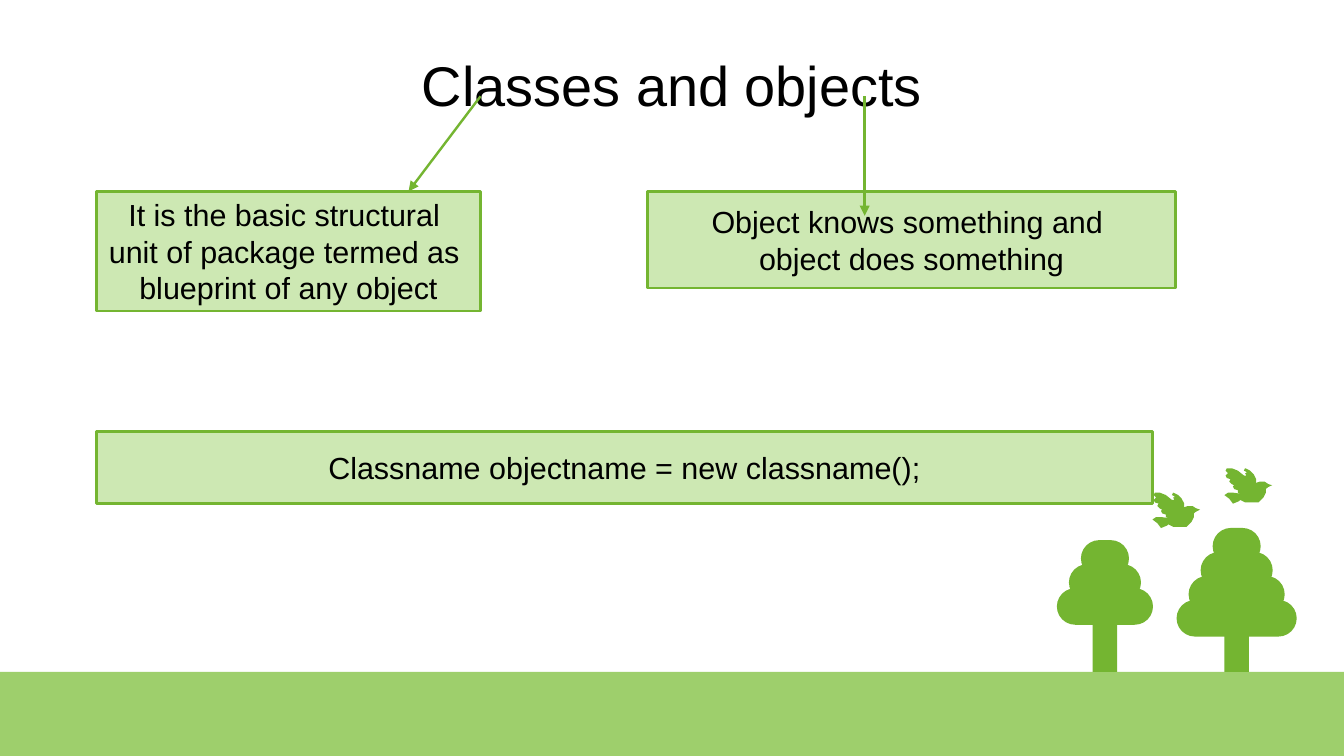
from dataclasses import dataclass

from lxml.etree import SubElement
from pptx import Presentation
from pptx.dml.color import RGBColor
from pptx.enum.shapes import MSO_CONNECTOR as Connector
from pptx.enum.shapes import MSO_SHAPE as Shape
from pptx.enum.text import MSO_ANCHOR as Anchor
from pptx.enum.text import MSO_AUTO_SIZE as AutoSize
from pptx.enum.text import PP_ALIGN as Align
from pptx.oxml.ns import qn
from pptx.util import Inches, Pt


@dataclass(frozen=True)
class Theme:
    font: str = "Arial"
    title_size: Pt = Pt(33)
    body_size: Pt = Pt(18)
    line_width: Pt = Pt(1.42)
    text: RGBColor = RGBColor(0x00, 0x00, 0x00)
    leaf: RGBColor = RGBColor(0x74, 0xB5, 0x31)
    ground: RGBColor = RGBColor(0x9E, 0xCF, 0x6C)
    box: RGBColor = RGBColor(0xCD, 0xE8, 0xB3)


THEME = Theme()
SLIDE_WIDTH, SLIDE_HEIGHT = 11.02, 6.2
GROUND_TOP = 5.51
TRUNK_TOP, TRUNK_WIDTH = 4.53, 0.2
TIER_HEIGHT, TIER_STEP = 0.3, 0.197

# Bird outlines in hundredths of an inch from the bird's top left corner.
FAR_WING = [(24, 5), (21, 1.5), (17, 0), (16.5, 1.5), (18, 3), (18, 4),
            (17, 4), (18, 6), (16, 6), (16.5, 9), (18, 11), (20, 15),
            (22.5, 16.5), (25, 17), (25.5, 13), (25.5, 9)]
BODY = [(29, 11), (26.5, 12.5), (24, 15), (19, 10), (15.5, 5.5), (11, 2),
        (6, 0), (2, 0), (1, 2), (3, 4), (1, 6), (2.5, 8), (5, 9), (4, 11),
        (5.5, 13), (8, 14), (7, 15), (8.5, 17), (11, 18), (11, 20),
        (14, 21), (7, 20), (3, 20.5), (0, 22), (4, 25), (7, 29), (12, 27),
        (13, 26), (17, 28), (23, 28.5), (28, 27.5), (32, 24), (33.7, 20),
        (34, 17), (36, 15), (36, 13), (33, 11.3)]
BEAK = [(36, 13), (35, 13), (35, 16), (37, 15), (39, 14.3), (39, 13.8)]


def style_text(text_frame, size):
    text_frame.vertical_anchor = Anchor.MIDDLE
    for paragraph in text_frame.paragraphs:
        paragraph.alignment = Align.CENTER
        for run in paragraph.runs:
            run.font.name = THEME.font
            run.font.size = size
            run.font.color.rgb = THEME.text


def add_title(slide, text):
    title = slide.shapes.title
    title.left, title.top = Inches(0.59), Inches(0.2)
    title.width, title.height = Inches(9.84), Inches(0.98)
    text_frame = title.text_frame
    text_frame.text = text
    text_frame.auto_size = AutoSize.NONE
    text_frame.margin_left = text_frame.margin_right = 0
    text_frame.margin_top = text_frame.margin_bottom = 0
    style_text(text_frame, THEME.title_size)


def paint(shape, color):
    shape.shadow.inherit = False
    shape.fill.solid()
    shape.fill.fore_color.rgb = color
    shape.line.fill.background()


def add_block(slide, kind, left, top, width, height, color):
    shape = slide.shapes.add_shape(
        kind, Inches(left), Inches(top), Inches(width), Inches(height))
    paint(shape, color)
    return shape


def add_text_box(slide, left, top, width, height, text):
    shape = add_block(slide, Shape.RECTANGLE, left, top, width, height, THEME.box)
    shape.line.color.rgb = THEME.leaf
    shape.line.width = THEME.line_width
    shape.text_frame.text = text
    shape.text_frame.word_wrap = False
    style_text(shape.text_frame, THEME.body_size)


def add_arrow(slide, start, end):
    connector = slide.shapes.add_connector(
        Connector.STRAIGHT, *map(Inches, start + end))
    connector.line.color.rgb = THEME.leaf
    connector.line.width = THEME.line_width
    properties = connector.element.spPr
    SubElement(properties.find(qn("a:ln")), qn("a:tailEnd"), type="triangle")
    SubElement(properties, qn("a:effectLst"))


def add_tree(slide, center, top, tiers):
    """Draw a trunk under rounded tiers that widen downwards."""
    add_block(slide, Shape.RECTANGLE, center - TRUNK_WIDTH / 2, TRUNK_TOP,
              TRUNK_WIDTH, GROUND_TOP - TRUNK_TOP, THEME.leaf)
    for tier in reversed(range(tiers)):
        width = (tier + 2) * TIER_STEP
        shape = add_block(slide, Shape.ROUNDED_RECTANGLE, center - width / 2,
                          top + tier * TIER_STEP, width, TIER_HEIGHT, THEME.leaf)
        shape.adjustments[0] = 0.5


def add_bird(slide, left, top):
    parts = []
    for outline in (FAR_WING, BODY, BEAK):
        builder = slide.shapes.build_freeform(*outline[0], scale=Inches(0.01))
        builder.add_line_segments(outline[1:], close=True)
        part = builder.convert_to_shape(Inches(left), Inches(top))
        paint(part, THEME.leaf)
        parts.append(part)
    slide.shapes.add_group_shape(parts)


def main():
    presentation = Presentation()
    presentation.slide_width = Inches(SLIDE_WIDTH)
    presentation.slide_height = Inches(SLIDE_HEIGHT)
    slide = presentation.slides.add_slide(presentation.slide_layouts[5])

    add_block(slide, Shape.RECTANGLE, 0, GROUND_TOP, SLIDE_WIDTH,
              SLIDE_HEIGHT - GROUND_TOP, THEME.ground)
    add_tree(slide, center=10.14, top=4.33, tiers=4)
    add_tree(slide, center=9.06, top=4.43, tiers=3)
    add_bird(slide, 9.45, 4.04)
    add_bird(slide, 10.04, 3.84)

    add_title(slide, "Classes and objects")
    add_text_box(slide, 0.79, 1.57, 3.15, 0.98,
                 "It is the basic structural \nunit of package termed as \n"
                 "blueprint of any object")
    add_text_box(slide, 5.31, 1.57, 4.33, 0.79,
                 "Object knows something and \nobject does something")
    add_arrow(slide, (3.94, 0.79), (3.35, 1.57))
    add_arrow(slide, (7.09, 0.79), (7.09, 1.77))
    add_text_box(slide, 0.79, 3.54, 8.66, 0.59,
                 "Classname objectname = new classname();")
    presentation.save("out.pptx")


if __name__ == "__main__":
    main()
